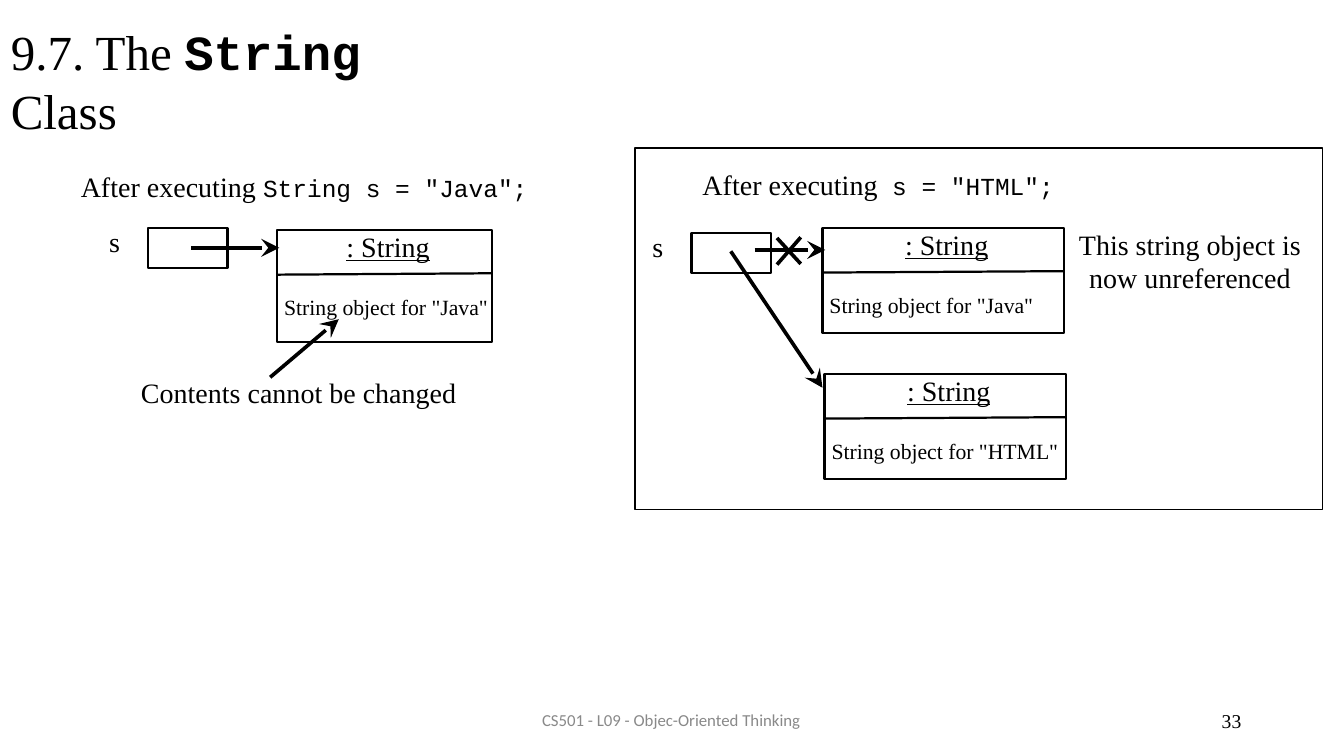
from dataclasses import dataclass

from lxml import etree
from pptx import Presentation
from pptx.dml.color import RGBColor
from pptx.enum import shapes, text
from pptx.oxml import ns
from pptx.util import Pt


@dataclass(frozen=True)
class Theme:
    ink: RGBColor = RGBColor(0, 0, 0)
    muted: RGBColor = RGBColor(0x89, 0x89, 0x89)
    serif: str = "Times New Roman"
    mono: str = "Courier New"
    sans: str = "Calibri"
    title: float = 35
    body: float = 20
    code: float = 17.5
    detail: float = 15.5
    footer: float = 12
    number: float = 14
    outline: float = 1.6
    frame: float = 1
    arrow: float = 2.6


THEME = Theme()


def add_text(s, x, y, w, h, runs, size=THEME.body, font=THEME.serif,
             color=THEME.ink, align=text.PP_ALIGN.LEFT, before=1.3):
    """Add a text box; each run is a text and a dict of font settings."""
    tf = s.shapes.add_textbox(Pt(x), Pt(y), Pt(w), Pt(h)).text_frame
    tf.word_wrap = True
    tf.margin_left = tf.margin_right = tf.margin_bottom = 0
    tf.margin_top = Pt(1.2)
    p = tf.paragraphs[0]
    p.alignment = align
    p.space_before = Pt(before)
    for words, style in runs:
        r = p.add_run()
        r.text = words
        r.font.name = style.get("font", font)
        r.font.size = Pt(style.get("size", size))
        r.font.bold = style.get("bold", False)
        r.font.underline = style.get("underline", False)
        r.font.color.rgb = color
    return p


def add_tab_stop(p, x):
    tabs = etree.SubElement(p._p.get_or_add_pPr(), ns.qn("a:tabLst"))
    etree.SubElement(tabs, ns.qn("a:tab"), pos=str(Pt(x)), algn="l")


def add_box(s, x, y, w, h, line=THEME.outline):
    sp = s.shapes.add_shape(shapes.MSO_SHAPE.RECTANGLE, Pt(x), Pt(y), Pt(w), Pt(h))
    sp.shadow.inherit = False
    sp.fill.background()
    sp.line.color.rgb = THEME.ink
    sp.line.width = Pt(line)


def add_line(s, x1, y1, x2, y2, width=THEME.outline, arrow=False):
    c = s.shapes.add_connector(shapes.MSO_CONNECTOR.STRAIGHT,
                               Pt(x1), Pt(y1), Pt(x2), Pt(y2))
    c.line.color.rgb = THEME.ink
    c.line.width = Pt(width)
    if arrow:
        etree.SubElement(c.line._get_or_add_ln(), ns.qn("a:tailEnd"),
                         type="stealth", w="lg", len="lg")
    etree.SubElement(c._element.spPr, ns.qn("a:effectLst"))


def add_arrow(s, x1, y1, x2, y2):
    add_line(s, x1, y1, x2, y2, THEME.arrow, arrow=True)


def add_string_object(s, x, y, w, h, value):
    """Draw a UML object: underlined class name above its contents."""
    add_box(s, x, y, w, h)
    add_line(s, x, y + 32, x + w, y + 31)
    add_text(s, x + 2.5, y - 1.6, w, 27, [(": String", {"underline": True})],
             align=text.PP_ALIGN.CENTER)
    add_text(s, x + 5, y + 44.5, w, 21, [(f'String object for "{value}"', {})],
             size=THEME.detail, before=1)


def add_variable(s, label_x, label_y, box_x, box_y):
    add_text(s, label_x, label_y, 12, 27, [("s", {})])
    add_box(s, box_x, box_y, 56.5, 28.5)


def add_first_state(s, code):
    add_text(s, 57.7, 120, 340, 27,
             [("After executing ", {}), ('String s = "Java";', code)])
    add_variable(s, 78, 159, 106, 163)
    add_string_object(s, 198, 164.2, 153.5, 80, "Java")
    add_arrow(s, 136.5, 177, 199.5, 177)
    add_text(s, 100.7, 267, 240, 27, [("Contents cannot be changed", {})])
    add_arrow(s, 193, 269.5, 242, 228)


def add_second_state(s, code):
    add_box(s, 453.5, 105.8, 491, 258, THEME.frame)
    p = add_text(s, 501.8, 118.6, 300, 27,
                 [("After executing\t", {}), ('s = "HTML";', code)])
    add_tab_stop(p, 135.5)
    add_variable(s, 466, 162.5, 494, 166.3)
    add_string_object(s, 587.5, 162.7, 172.5, 75, "Java")
    add_string_object(s, 589, 267, 172.5, 75, "HTML")
    add_arrow(s, 539, 178.5, 589.5, 178.5)
    add_arrow(s, 522, 179.5, 587.5, 277)
    for y1, y2 in ((189, 169.5), (170, 188.5)):
        add_line(s, 555, y1, 572, y2, THEME.arrow)
    p = add_text(s, 766.5, 162, 167, 50,
                 [("This string object is now unreferenced", {})],
                 align=text.PP_ALIGN.CENTER, before=2.5)
    p.line_spacing = Pt(23.5)


def main():
    prs = Presentation()
    prs.slide_width, prs.slide_height = Pt(960), Pt(540)
    s = prs.slides.add_slide(prs.slide_layouts[6])
    code = {"font": THEME.mono, "size": THEME.code}
    add_text(s, 7.7, 14.5, 335, 88,
             [("9.7. The ", {}), ("String ", {"font": THEME.mono, "bold": True}),
              ("Class", {})], size=THEME.title, before=1)
    add_first_state(s, code)
    add_second_state(s, code)
    add_text(s, 387.2, 506, 200, 17, [("CS501 - L09 - Objec-Oriented Thinking", {})],
             size=THEME.footer, font=THEME.sans, color=THEME.muted, before=0.4)
    add_text(s, 872.7, 505, 20, 17, [("33", {})], size=THEME.number, before=0)
    prs.save("out.pptx")


if __name__ == "__main__":
    main()
